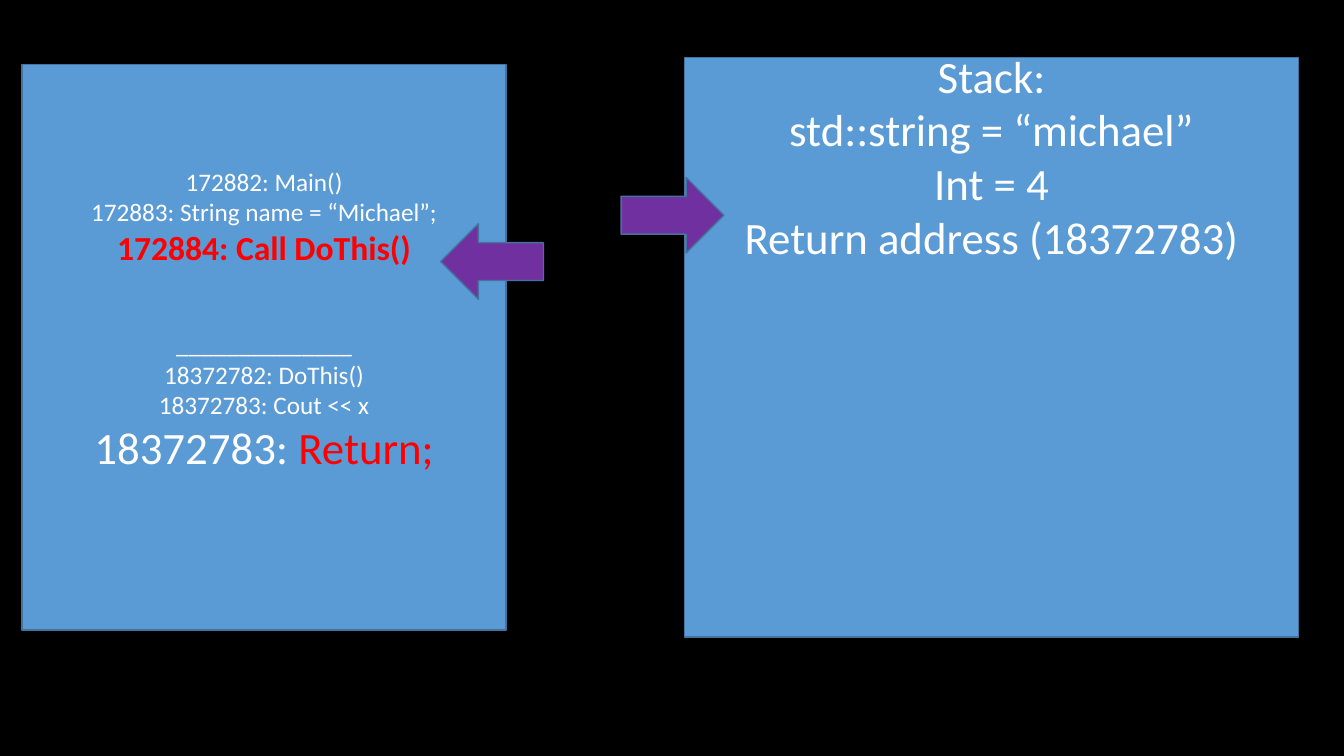
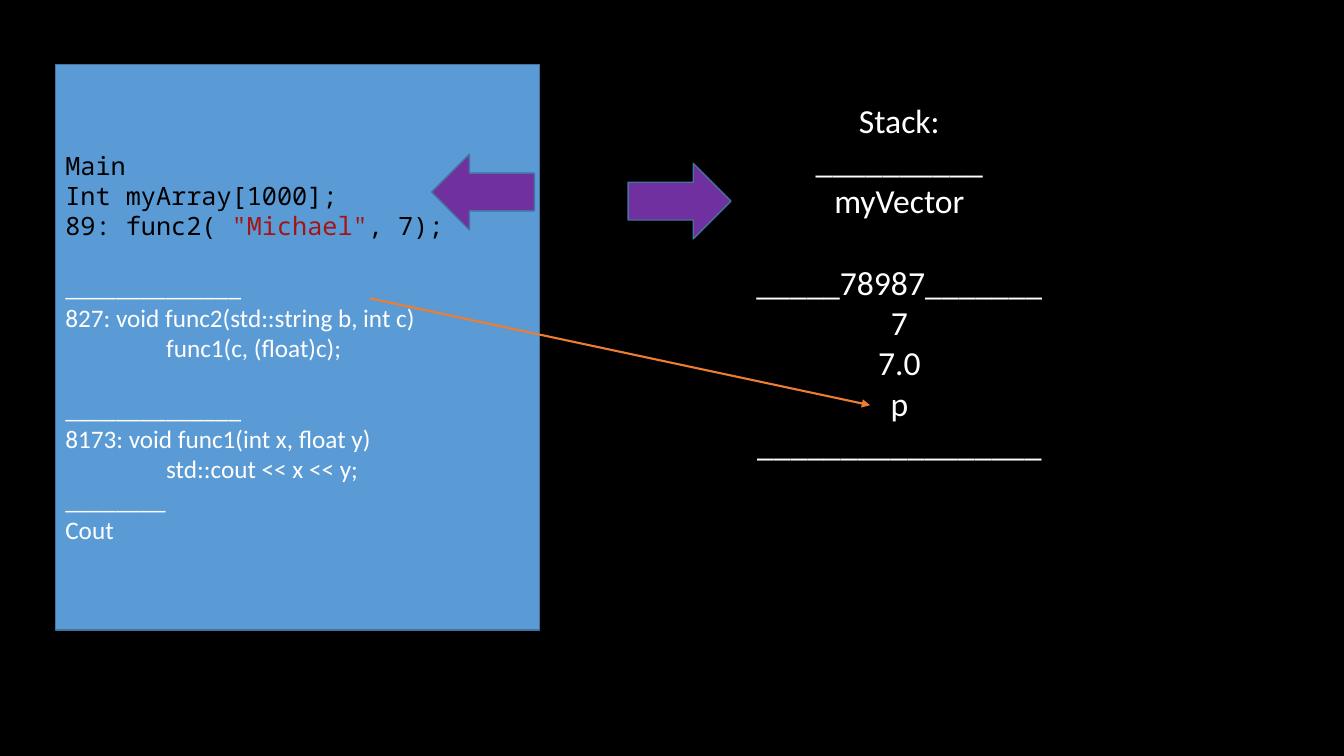
from dataclasses import dataclass

from lxml.etree import SubElement
from pptx import Presentation
from pptx.dml.color import RGBColor
from pptx.enum.shapes import MSO_CONNECTOR, MSO_SHAPE
from pptx.enum.text import MSO_ANCHOR, PP_ALIGN
from pptx.oxml.ns import qn
from pptx.shapes.autoshape import Shape
from pptx.slide import Slide
from pptx.text.text import TextFrame
from pptx.util import Inches, Pt

BLACK = "000000"
WHITE = "FFFFFF"
RED = "FF0000"
STRING_RED = "A31515"
PANEL_BLUE = "5B9BD5"
OUTLINE_BLUE = "43739E"
PURPLE = "7030A0"
ORANGE = "ED7D31"

SANS = "Calibri"
MONO = "Noto Sans Mono"
LINE_HEIGHT = 1.22
ARROW_SIZE = (1.02, 0.75)
CODE_SIZE = (4.8, 5.61)
PADDING = 0.05


@dataclass(frozen=True)
class Span:
    text: str
    color: str | None = None


@dataclass(frozen=True)
class Line:
    content: str | tuple[Span, ...]
    size: int = 18
    color: str = WHITE
    font: str = SANS
    bold: bool = False
    gap_lines: int = 0
    indent: float = 0


@dataclass(frozen=True)
class Panel:
    left: float
    top: float
    width: float
    height: float
    lines: tuple[Line, ...]
    align: PP_ALIGN = PP_ALIGN.CENTER
    free_lines: int = 0
    boxed: bool = True


@dataclass(frozen=True)
class Pointer:
    left: float
    top: float
    rotation: int = 0


def rgb(color: str) -> RGBColor:
    return RGBColor.from_string(color)


def paint(shape: Shape, fill: str) -> None:
    shape.shadow.inherit = False
    shape.fill.solid()
    shape.fill.fore_color.rgb = rgb(fill)
    shape.line.color.rgb = rgb(OUTLINE_BLUE)
    shape.line.width = Pt(1)


def write_lines(frame: TextFrame, lines: tuple[Line, ...], align: PP_ALIGN) -> None:
    for index, line in enumerate(lines):
        para = frame.add_paragraph() if index else frame.paragraphs[0]
        para.alignment = align
        para.space_before = Pt(round(line.gap_lines * line.size * LINE_HEIGHT, 1))
        para.font.name = line.font
        para.font.size = Pt(line.size)
        para.font.bold = line.bold
        para.font.color.rgb = rgb(line.color)
        if line.indent:
            properties = para._p.get_or_add_pPr()
            properties.set("marL", str(Inches(line.indent)))
            properties.set("indent", "0")
        spans = (Span(line.content),) if isinstance(line.content, str) else line.content
        for span in spans:
            run = para.add_run()
            run.text = span.text
            if span.color:
                run.font.color.rgb = rgb(span.color)


def add_panel(page: Slide, panel: Panel) -> None:
    area = [Inches(n) for n in (panel.left, panel.top, panel.width, panel.height)]
    if panel.boxed:
        box = page.shapes.add_shape(MSO_SHAPE.RECTANGLE, *area)
        paint(box, PANEL_BLUE)
    else:
        box = page.shapes.add_textbox(*area)
    frame = box.text_frame
    frame.word_wrap = True
    frame.vertical_anchor = MSO_ANCHOR.MIDDLE if panel.boxed else MSO_ANCHOR.TOP
    free_height = panel.free_lines * panel.lines[-1].size * LINE_HEIGHT / 72
    frame.margin_bottom = Inches(PADDING + free_height)
    write_lines(frame, panel.lines, panel.align)


def add_pointer(page: Slide, pointer: Pointer) -> None:
    area = [Inches(n) for n in (pointer.left, pointer.top, *ARROW_SIZE)]
    arrow = page.shapes.add_shape(MSO_SHAPE.LEFT_ARROW, *area)
    arrow.rotation = pointer.rotation
    paint(arrow, PURPLE)


def add_link(page: Slide, start: tuple[float, float], end: tuple[float, float]) -> None:
    points = [Inches(n) for n in (*start, *end)]
    link = page.shapes.add_connector(MSO_CONNECTOR.STRAIGHT, *points)
    link.line.color.rgb = rgb(ORANGE)
    link.line.width = Pt(1.5)
    SubElement(link.line._get_or_add_ln(), qn("a:tailEnd"), type="triangle")
    SubElement(link._element.spPr, qn("a:effectLst"))


def build_call_page(page: Slide) -> None:
    code = (
        Line("172882: Main()"),
        Line("172883: String name = “Michael”;"),
        Line("172884: Call DoThis()", size=24, color=RED, bold=True),
        Line("______________", gap_lines=2),
        Line("18372782: DoThis()"),
        Line("18372783: Cout << x"),
        Line((Span("18372783: "), Span("Return;", RED)), size=32),
    )
    stack = tuple(
        Line(text, size=32)
        for text in (
            "Stack:",
            "std::string = “michael”",
            "Int = 4",
            "Return address (18372783)",
        )
    )
    add_panel(page, Panel(0.22, 0.64, *CODE_SIZE, code, free_lines=1))
    add_pointer(page, Pointer(4.37, 2.22))
    add_panel(page, Panel(6.79, 0.57, 6.09, 5.75, stack, free_lines=7))
    add_pointer(page, Pointer(6.16, 1.76, rotation=180))


def build_nested_page(page: Slide) -> None:
    call = (Span("89: func2( "), Span('"Michael"', STRING_RED), Span(", 7);"))
    code = (
        *(Line(text, color=BLACK, font=MONO) for text in ("Main", "Int myArray[1000];", call)),
        Line("______________", gap_lines=1),
        Line("827: void func2(std::string b, int c)"),
        Line("func1(c, (float)c);", indent=1),
        Line("______________", gap_lines=1),
        Line("8173: void func1(int x, float y)"),
        Line("std::cout << x << y;", indent=1),
        Line("________"),
        Line("Cout"),
    )
    stack = (
        *(Line(text, size=24) for text in ("Stack:", "__________", "myVector")),
        Line("_____78987_______", size=24, gap_lines=1),
        *(Line(text, size=24) for text in ("7", "7.0", "p", "_________________")),
    )
    add_panel(page, Panel(0.55, 0.64, *CODE_SIZE, code, align=PP_ALIGN.LEFT))
    add_pointer(page, Pointer(4.28, 1.53))
    add_pointer(page, Pointer(6.23, 1.62, rotation=180))
    add_panel(page, Panel(6.8, 0.94, 4.24, 6.16, stack, boxed=False))
    add_link(page, (3.67, 2.96), (8.63, 4.02))


def main() -> None:
    deck = Presentation()
    deck.slide_width = Inches(13.33)
    deck.slide_height = Inches(7.5)
    backdrop = deck.slide_master.background.fill
    backdrop.solid()
    backdrop.fore_color.rgb = rgb(BLACK)
    for build in (build_call_page, build_nested_page):
        build(deck.slides.add_slide(deck.slide_layouts[6]))
    deck.save("out.pptx")


if __name__ == "__main__":
    main()
